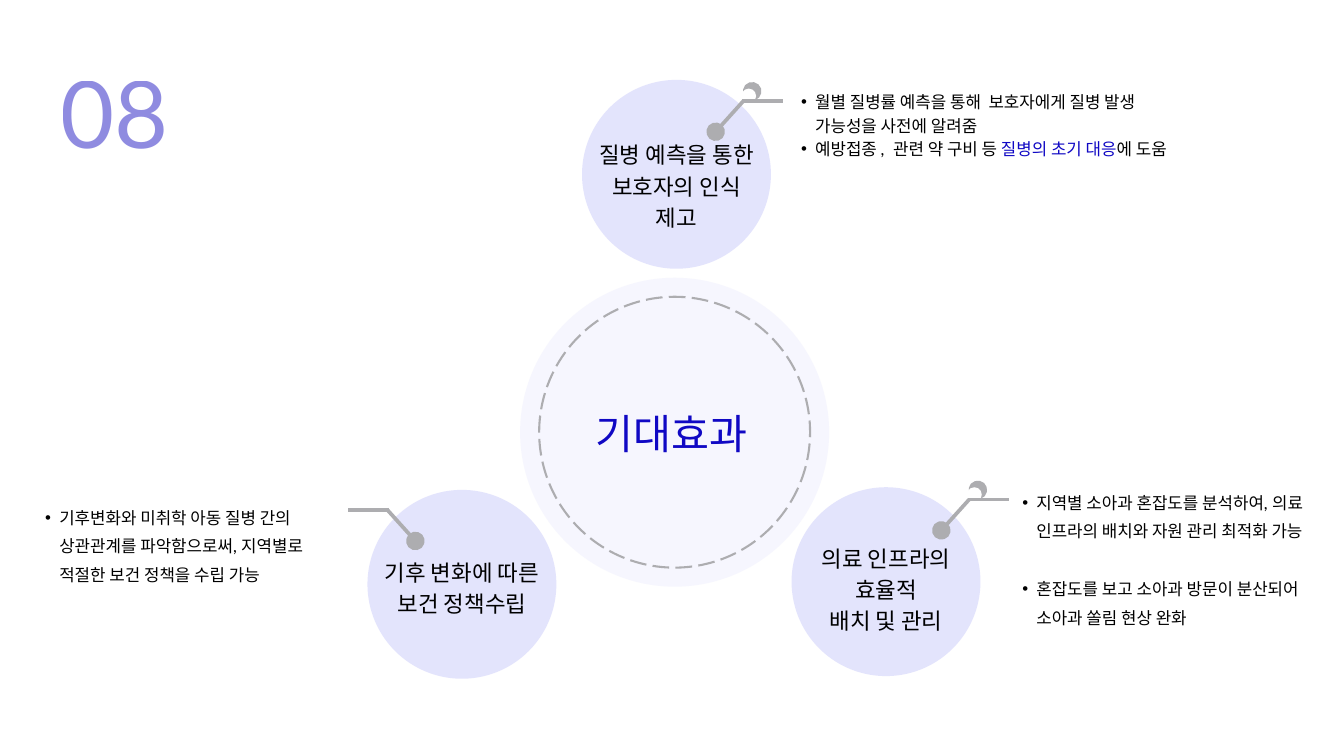
from dataclasses import dataclass

from lxml.etree import SubElement
from pptx import Presentation
from pptx.dml.color import RGBColor
from pptx.enum.dml import MSO_LINE
from pptx.enum.shapes import MSO_CONNECTOR, MSO_SHAPE
from pptx.enum.text import MSO_ANCHOR, MSO_AUTO_SIZE, PP_ALIGN
from pptx.oxml.ns import qn
from pptx.util import Cm, Pt

COLORS = {
    "lavender": "C3C4FA",
    "gray": "ADADB0",
    "blue": "1008C4",
    "violet": "605BD4",
    "black": "000000",
    "white": "FFFFFF",
}
SANS, KOREAN = "Lato", "Noto Sans CJK SC"
BUBBLE = 7.14


@dataclass
class Effect:
    """One expected effect: its bubble, pointer and list of details."""
    corner: tuple
    label: list
    label_top: float
    pointer: tuple
    side: int
    dot: tuple
    holder: int
    box: tuple
    items: list
    pitch: float
    gap: float = 0


EFFECTS = [
    Effect((22, 3.02), ["질병 예측을 통한", "보호자의 인식", "제고"], 2.16,
           (5.05, 1.96), 1, (-0.13, 0.18, 0.28), 1, (29.74, 3.35, 15.52, 2.59),
           [[("월별 질병률 예측을 통해  보호자에게 질병 발생 가능성을 사전에 알려줌", "black")],
            [("예방접종 ,  관련 약 구비 등 ", "black"), ("질병의 초기 대응", "blue"),
             ("에 도움", "black")]], 25.2),
    Effect((29.92, 18.42), ["의료 인프라의", "효율적", "배치 및 관리"], 2.01,
           (5.66, 1.63), 1, (-0.13, 0.18, 0.28), 2, (38.1, 18.29, 11.86, 5.33),
           [[("지역별 소아과 혼잡도를 분석하여, 의료 인프라의 배치와 자원 관리 최적화 가능", "black")],
            [("혼잡도를 보고 소아과 방문이 분산되어 소아과 쏠림 현상 완화", "black")]],
           30.8, 30.8),
    Effect((13.89, 18.52), ["기후 변화에 따른", "보건 정책수립"], 2.44,
           (1.81, 1.93), -1, (0, 0, 0.46), 4, (1.17, 18.85, 11.89, 3.18),
           [[("기후변화와 미취학 아동 질병 간의 상관관계를 파악함으로써, 지역별로 "
              "적절한 보건 정책을 수립 가능", "black")]], 30.8),
]


def rgb(name):
    """Return the named colour."""
    return RGBColor.from_string(COLORS[name])


def set_alpha(parent, percent):
    """Make the solid fill under parent partly transparent."""
    color = parent.find(".//" + qn("a:srgbClr"))
    SubElement(color, qn("a:alpha"), val=str(percent * 1000))


def add_circle(page, center, radius, fill=None, alpha=100):
    """Add a circle around a centre, without outline."""
    x, y = center
    circle = page.shapes.add_shape(MSO_SHAPE.OVAL, Cm(x - radius), Cm(y - radius),
                                   Cm(2 * radius), Cm(2 * radius))
    circle.shadow.inherit = False
    circle.line.fill.background()
    if fill:
        circle.fill.solid()
        circle.fill.fore_color.rgb = rgb(fill)
        if alpha < 100:
            set_alpha(circle._element.spPr, alpha)
    else:
        circle.fill.background()
    return circle


def add_line(page, start, end, round_ends=False):
    """Add a thick gray line, optionally with oval ends."""
    line = page.shapes.add_connector(MSO_CONNECTOR.STRAIGHT,
                                     *(Cm(value) for value in start + end))
    line.line.color.rgb = rgb("gray")
    line.line.width = Pt(4)
    if round_ends:
        for tag in ("a:headEnd", "a:tailEnd"):
            SubElement(line.line._ln, qn(tag), type="oval", w="lg", len="lg")
    SubElement(line._element.spPr, qn("a:effectLst"))


def prepare_frame(shape):
    """Clear the insets of a text shape and return its frame."""
    frame = shape.text_frame
    frame.margin_left = frame.margin_right = frame.margin_top = frame.margin_bottom = 0
    frame.word_wrap = True
    frame.auto_size = MSO_AUTO_SIZE.NONE
    frame.vertical_anchor = MSO_ANCHOR.TOP
    return frame


def place_holder(page, index, box):
    """Move a placeholder to a box and bring it to the front."""
    holder = page.placeholders[index]
    holder.left, holder.top, holder.width, holder.height = (Cm(value) for value in box)
    page.shapes._spTree.append(holder._element)
    return prepare_frame(holder)


def add_text(page, box):
    """Add a text box and return its frame."""
    return prepare_frame(page.shapes.add_textbox(*(Cm(value) for value in box)))


def style(para, size, pitch, color, font=SANS, align=PP_ALIGN.LEFT, before=0):
    """Format a whole paragraph."""
    para.alignment = align
    para.line_spacing = Pt(pitch)
    para.space_before = Pt(before)
    para.space_after = Pt(0)
    para.font.name = font
    para.font.size = Pt(size)
    para.font.bold = False
    para.font.color.rgb = rgb(color)


def add_center(page, box):
    """Draw the central disc with its dashed ring and the slide title."""
    left, top, size = box
    center = (left + size / 2, top + size / 2)
    add_circle(page, center, size / 2, "lavender", 15)
    ring = add_circle(page, center, 5.12)
    ring.line.color.rgb = rgb("gray")
    ring.line.width = Pt(2.25)
    ring.line.dash_style = MSO_LINE.LONG_DASH
    frame = place_holder(page, 0, (left, top + 4.62, 11.43, 2.01))
    frame.text = "기대효과"
    para = frame.paragraphs[0]
    style(para, 44.2, 61.9, "blue", KOREAN, PP_ALIGN.CENTER)
    SubElement(para.font._element, qn("a:ea"), typeface=KOREAN)


def add_pointer(page, start, side, dot):
    """Draw the bent pointer that leads from a bubble to its list."""
    x, y = start
    elbow_x, elbow_y = x + side * 1.38, y - 1.53
    add_line(page, start, (elbow_x, elbow_y), True)
    dx, dy, radius = dot
    add_circle(page, (elbow_x + dx, elbow_y + dy), radius, "white")
    flat_y = elbow_y + 0.36
    add_line(page, (elbow_x - side * 0.37, flat_y), (elbow_x + side * 1.17, flat_y))


def add_list(page, effect):
    """Fill a body placeholder with bulleted details."""
    frame = place_holder(page, effect.holder, effect.box)
    for number, spans in enumerate(effect.items):
        para = frame.add_paragraph() if number else frame.paragraphs[0]
        properties = para._p.get_or_add_pPr()
        properties.set("marL", str(Cm(1.07)))
        properties.set("indent", str(Cm(-0.53)))
        SubElement(properties, qn("a:buChar"), char="•")
        style(para, 18, effect.pitch, "black", before=effect.gap if number else 0)
        for text, color in spans:
            span = para.add_run()
            span.text = text
            if color != "black":
                span.font.color.rgb = rgb(color)


def add_effect(page, effect):
    """Draw one bubble with its label, pointer and list."""
    left, top = effect.corner
    add_circle(page, (left + BUBBLE / 2, top + BUBBLE / 2), BUBBLE / 2, "lavender", 45)
    frame = add_text(page, (left - 1.59, top + effect.label_top, BUBBLE + 3.18,
                            1.14 * len(effect.label)))
    frame.text = "\n".join(effect.label)
    for para in frame.paragraphs:
        style(para, 24, 33.6, "black", align=PP_ALIGN.CENTER)
    dx, dy = effect.pointer
    add_pointer(page, (left + dx, top + dy), effect.side, effect.dot)
    add_list(page, effect)


def add_number(page, box):
    """Add the large section number."""
    frame = add_text(page, box)
    frame.text = "08"
    para = frame.paragraphs[0]
    style(para, 100, 140, "violet")
    set_alpha(para.font._element, 70)


def main():
    """Build the slide and save the deck."""
    deck = Presentation()
    deck.slide_width, deck.slide_height = Cm(50.8), Cm(28.58)
    page = deck.slides.add_slide(deck.slide_layouts[4])
    spare = page.placeholders[3]._element
    spare.getparent().remove(spare)
    add_center(page, (19.66, 10.5, 11.68))
    for effect in EFFECTS:
        add_effect(page, effect)
    add_number(page, (2.29, 1.4, 4.65, 4.75))
    deck.save("out.pptx")


if __name__ == "__main__":
    main()
